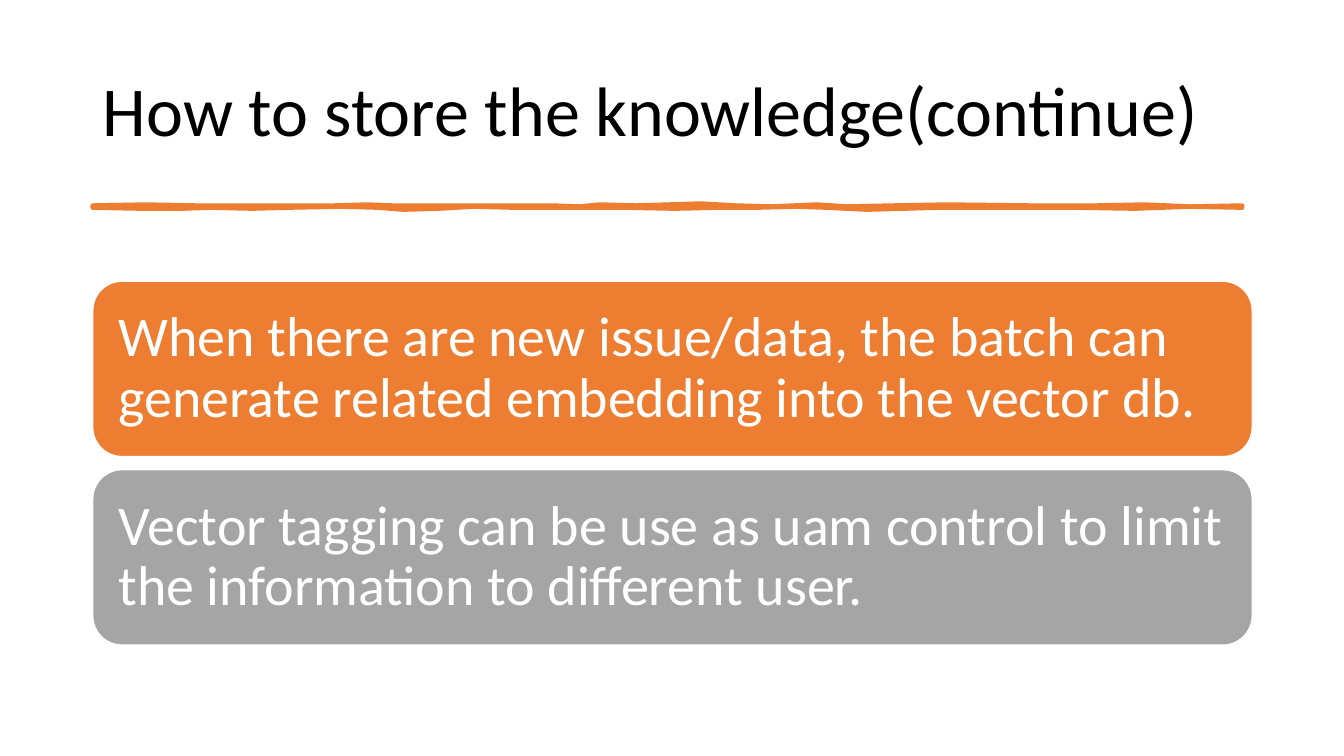
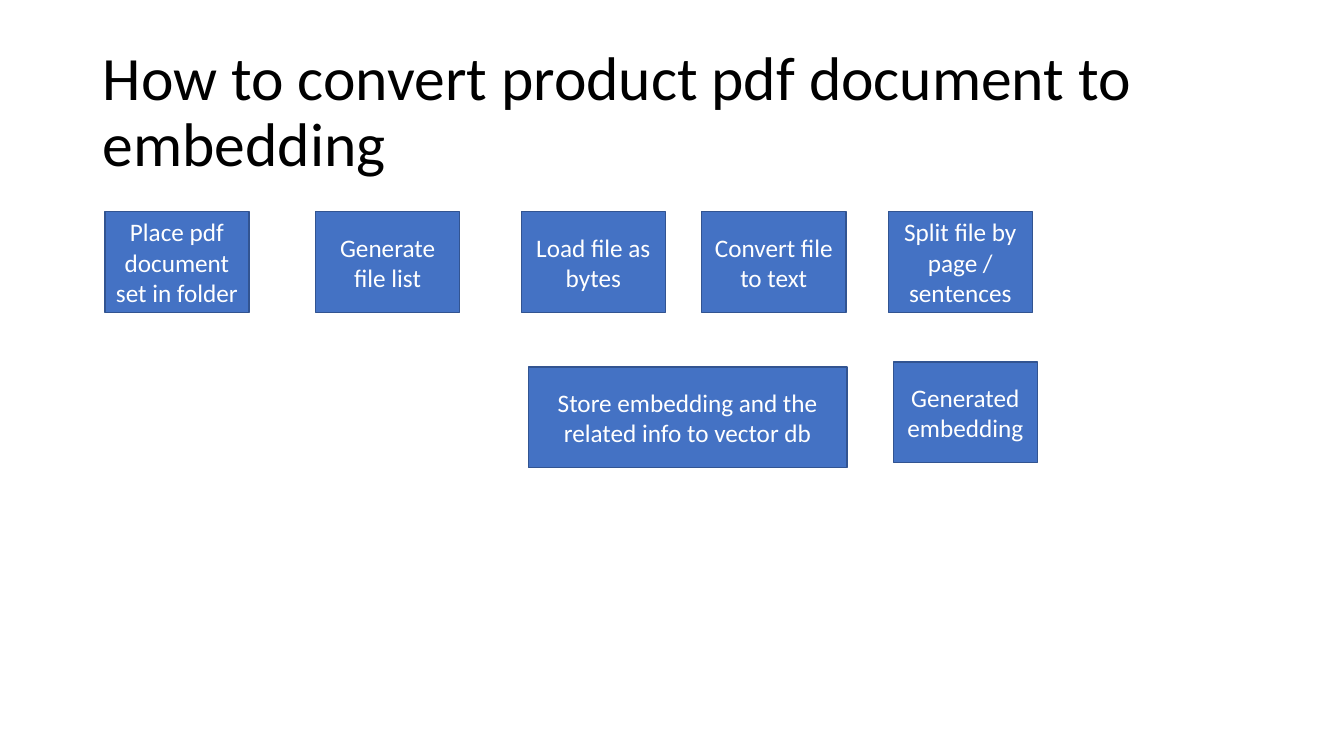
from dataclasses import dataclass

from pptx import Presentation
from pptx.dml.color import RGBColor
from pptx.enum import shapes, text
from pptx.util import Inches, Pt

FONT = "Calibri"
HUES = {
    "ink": "000000",
    "white": "FFFFFF",
    "orange": "ED7D31",
    "grey": "A5A5A5",
    "blue": "4472C4",
    "navy": "325491",
}
LEFT, WIDE = 0.92, 11.5


@dataclass
class Box:
    label: str
    left: float
    top: float
    width: float = 1.43
    height: float = 1
    fill: str = "blue"
    edge: str = "navy"
    size: float = 18
    kind: int = shapes.MSO_SHAPE.RECTANGLE
    align: int = text.PP_ALIGN.CENTER
    inset: float = 0.1
    space: float = 1


def hue(name: str) -> RGBColor:
    return RGBColor.from_string(HUES[name])


def paint(shape, fill: str, edge: str, weight: float) -> None:
    shape.shadow.inherit = False
    shape.fill.solid()
    shape.fill.fore_color.rgb = hue(fill)
    shape.line.color.rgb = hue(edge)
    shape.line.width = Pt(weight)


def write(frame, label: str, size: float, color: str, align: int, space: float) -> None:
    frame.word_wrap = True
    frame.vertical_anchor = text.MSO_ANCHOR.MIDDLE
    para = frame.paragraphs[0]
    para.text = label
    para.alignment = align
    para.line_spacing = space
    para.font.name = FONT
    para.font.size = Pt(size)
    para.font.color.rgb = hue(color)


def start(deck, label: str, size: float):
    slide = deck.slides.add_slide(deck.slide_layouts[5])
    title = slide.shapes.title
    title.left, title.top = Inches(LEFT), Inches(0.4)
    title.width, title.height = Inches(WIDE), Inches(1.45)
    write(title.text_frame, label, size, "ink", text.PP_ALIGN.LEFT, 0.9)
    return slide


def draw(slide, box: Box) -> None:
    shape = slide.shapes.add_shape(
        box.kind, Inches(box.left), Inches(box.top), Inches(box.width), Inches(box.height)
    )
    paint(shape, box.fill, box.edge, 1)
    frame = shape.text_frame
    frame.margin_left = frame.margin_right = Inches(box.inset)
    frame.margin_top = frame.margin_bottom = Inches(box.inset / 2)
    write(frame, box.label, box.size, "white", box.align, box.space)


def stroke(slide) -> None:
    upper = [
        (0.92, 2.04), (1.45, 2.03), (1.95, 2.04), (2.4, 2.04), (2.8, 2.04),
        (3.31, 2.04), (3.65, 2.03), (3.9, 2.04), (4.25, 2.04), (5.48, 2.04),
        (5.75, 2.05), (5.95, 2.03), (6.31, 2.04), (6.95, 2.02), (7.3, 2.04),
        (7.65, 2.05), (8.1, 2.03), (8.4, 2.05), (8.85, 2.04), (9.4, 2.03),
        (10.23, 2.04), (10.87, 2.04), (11.35, 2.03), (11.8, 2.05), (12.32, 2.04),
    ]
    lower = [
        (12.32, 2.06), (11.8, 2.05), (11.25, 2.07), (10.68, 2.06), (9.9, 2.06),
        (9.3, 2.06), (8.6, 2.08), (8.2, 2.06), (7.9, 2.05), (7.5, 2.06),
        (7.1, 2.06), (6.7, 2.07), (6.2, 2.06), (5.7, 2.06), (5.1, 2.06),
        (4.7, 2.05), (4.35, 2.07), (4, 2.08), (3.75, 2.06), (3.4, 2.05),
        (2.85, 2.06), (2.5, 2.07), (2.1, 2.06), (1.8, 2.07), (1.4, 2.07),
        (0.92, 2.06),
    ]
    path = [(Inches(x), Inches(y)) for x, y in upper + lower]
    pen = slide.shapes.build_freeform(*path[0])
    pen.add_line_segments(path[1:], close=True)
    paint(pen.convert_to_shape(), "orange", "orange", 3.25)


def store(deck) -> None:
    slide = start(deck, "How to store the knowledge(continue)", 50)
    stroke(slide)
    cards = [
        ("When there are new issue/data, the batch can generate related embedding into the vector db.", "orange"),
        ("Vector tagging can be use as uam control to limit the information to different user.", "grey"),
    ]
    for row, (label, fill) in enumerate(cards):
        draw(slide, Box(
            label, LEFT, 2.79 + row * 1.87, WIDE, 1.74, fill, "white", 40,
            shapes.MSO_SHAPE.ROUNDED_RECTANGLE, text.PP_ALIGN.LEFT, 0.17, 0.9,
        ))


def convert(deck) -> None:
    slide = start(deck, "How to convert product pdf document to embedding", 44)
    steps = [
        ("Place pdf document set in folder", 1.04),
        ("Generate file list", 3.13),
        ("Load file as bytes", 5.17),
        ("Convert file to text", 6.96),
        ("Split file by page / sentences", 8.81),
    ]
    boxes = [Box(label, left, 2.1) for label, left in steps]
    boxes += [
        Box("Generated embedding", 8.86, 3.59),
        Box("Store embedding and the related info to vector db", 5.24, 3.64, 3.16),
    ]
    for box in boxes:
        draw(slide, box)


def main() -> None:
    deck = Presentation()
    deck.slide_width, deck.slide_height = Inches(13.33), Inches(7.5)
    store(deck)
    convert(deck)
    deck.save("out.pptx")


if __name__ == "__main__":
    main()
